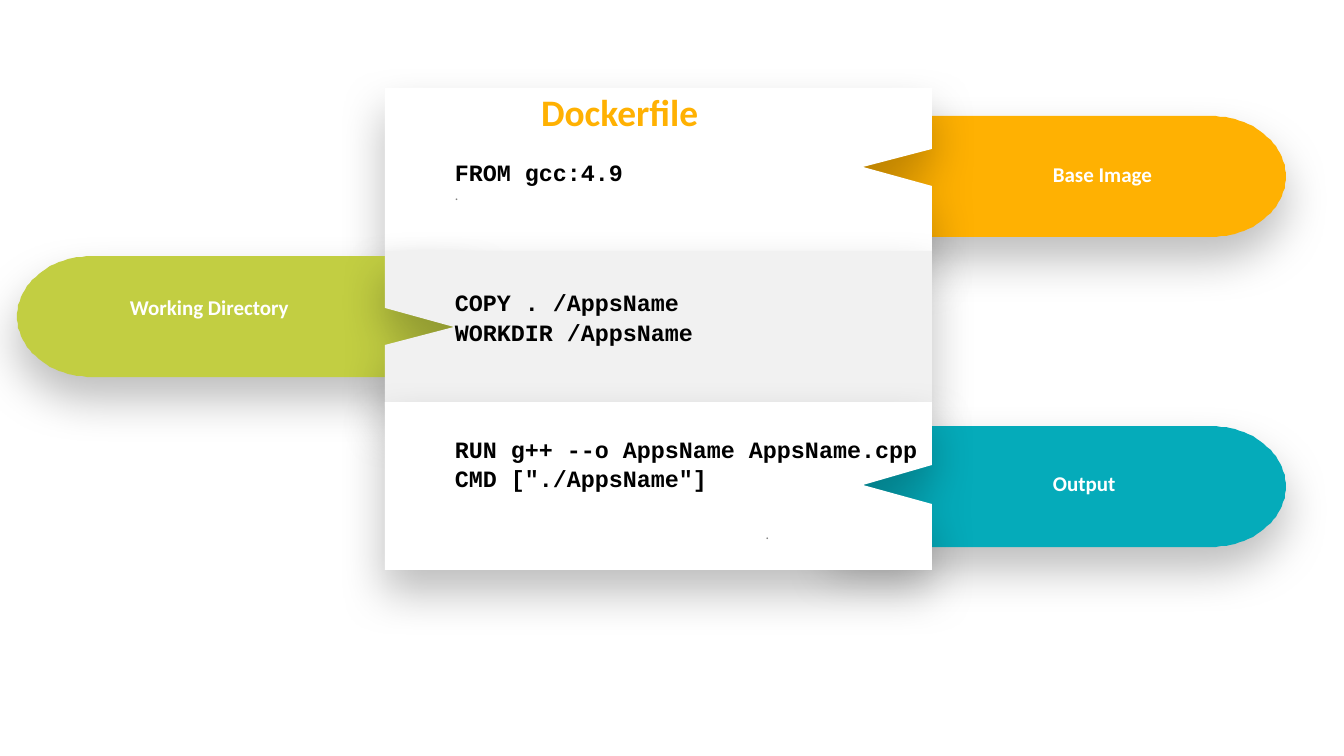
from math import cos, pi, sin

from lxml.etree import SubElement
from pptx import Presentation
from pptx.dml.color import RGBColor
from pptx.enum.text import MSO_ANCHOR, MSO_AUTO_SIZE, PP_ALIGN
from pptx.oxml.ns import qn
from pptx.util import Pt

PX = 914400 / 100.8  # EMU per px

WHITE = RGBColor(0xFF, 0xFF, 0xFF)
BLACK = RGBColor(0x00, 0x00, 0x00)
GREY = RGBColor(0x80, 0x80, 0x80)
PALE_GREY = RGBColor(0xF1, 0xF1, 0xF1)
ORANGE = RGBColor(0xFF, 0xB1, 0x02)
GREEN = RGBColor(0xC2, 0xCE, 0x42)
TEAL = RGBColor(0x05, 0xAB, 0xBA)

PANEL_LEFT, PANEL_RIGHT = 385, 932
NOTCH_DEPTH = 69
TAB_WIDTH, TAB_HEIGHT, TAB_ROUNDING = 456, 121, 75
CODE_LEFT = 445


def add_outline(points, color):
    """Filled outline with a soft shadow below it."""
    builder = slide.shapes.build_freeform(*points[0], scale=PX)
    builder.add_line_segments(points[1:], close=True)
    outline = builder.convert_to_shape()
    outline.fill.solid()
    outline.fill.fore_color.rgb = color
    outline.line.fill.background()
    outline.shadow.inherit = False
    effects = outline.element.spPr.find(qn("a:effectLst"))
    shadow = SubElement(effects, qn("a:outerShdw"), blurRad=str(Pt(33)), dist=str(Pt(16)),
                        dir=str(92 * 60000), algn="ctr", rotWithShape="0")
    shadow_color = SubElement(shadow, qn("a:srgbClr"), val="000000")
    SubElement(shadow_color, qn("a:alpha"), val="26000")
    return outline


def write_text(holder, box, lines, align=PP_ALIGN.LEFT):
    """Place a text holder; each line is (text, font, size, color, bold, spacing)."""
    holder.left, holder.top, holder.width, holder.height = [round(n * PX) for n in box]
    frame = holder.text_frame
    frame.word_wrap = True
    frame.auto_size = MSO_AUTO_SIZE.SHAPE_TO_FIT_TEXT
    frame.vertical_anchor = MSO_ANCHOR.TOP
    frame.text = "\n".join(line[0] for line in lines)
    for paragraph, (_, font_name, size, color, bold, spacing) in zip(frame.paragraphs, lines):
        paragraph.alignment = align
        paragraph.line_spacing = spacing
        font = paragraph.runs[0].font
        font.name, font.size, font.bold = font_name, Pt(size), bold
        font.color.rgb = color


presentation = Presentation()
presentation.slide_width = round(1344 * PX)
presentation.slide_height = round(756 * PX)
slide = presentation.slides.add_slide(presentation.slide_layouts[5])
title = slide.shapes.title
dot = (".", "Calibri", 10, GREY, False, 1.0)

# Sections: side, tab left, tab top, tab color, panel top and bottom, panel color,
# notch heights, label, label box, code lines, code box
sections = [
    ("right", 830, 116, ORANGE, 88, 251, WHITE, (149, 167, 186),
     "Base Image", (1043, 157, 172, 35),
     ["FROM gcc:4.9"], (CODE_LEFT, 152, 244, 55)),
    ("left", 17, 256, GREEN, 251, 406, PALE_GREY, (308, 327, 345),
     "Working Directory", (120, 290, 254, 35),
     ["COPY . /AppsName", "WORKDIR /AppsName"], (CODE_LEFT, 282, 261, 90)),
    ("right", 830, 426, TEAL, 402, 570, WHITE, (465, 485, 504),
     "Output", (1043, 466, 172, 35),
     ["RUN g++ --o AppsName AppsName.cpp", 'CMD ["./AppsName"]'], (CODE_LEFT, 428, 608, 106)),
]

for (side, tab_left, tab_top, tab_color, top, bottom, panel_color, notch,
     label, label_box, code, code_box) in sections:
    # Tab: square at the panel, half an ellipse at the outer end
    on_right = side == "right"
    inner, outer = (tab_left, tab_left + TAB_WIDTH) if on_right else (tab_left + TAB_WIDTH, tab_left)
    outward = 1 if on_right else -1
    radius = TAB_HEIGHT / 2
    arc = [(outer + outward * TAB_ROUNDING * (cos(angle) - 1), tab_top + radius + radius * sin(angle))
           for angle in [pi * step / 48 - pi / 2 for step in range(49)]]
    add_outline([(inner, tab_top), *arc, (inner, tab_top + TAB_HEIGHT)], tab_color)

    # Panel with a notch that lets the tab show through
    near, far = (PANEL_RIGHT, PANEL_LEFT) if on_right else (PANEL_LEFT, PANEL_RIGHT)
    notch_top, notch_tip, notch_bottom = notch
    panel = add_outline([(far, top), (near, top), (near, notch_top),
                         (near - outward * NOTCH_DEPTH, notch_tip),
                         (near, notch_bottom), (near, bottom), (far, bottom)], panel_color)

    # Title sits on the first panel
    if label == "Base Image":
        panel.element.addnext(title.element)
        write_text(title, (531, 84, 218, 55), [("Dockerfile", "Calibri", 26.7, ORANGE, True, 1.0)])

    # Label and code
    write_text(slide.shapes.add_textbox(0, 0, 0, 0), label_box,
               [(label, "Calibri", 15, WHITE, True, 1.0)])
    code_lines = [(line, "Courier New", 16.7, BLACK, True, 1.06) for line in code]
    if label == "Base Image":
        code_lines.append(dot)
    write_text(slide.shapes.add_textbox(0, 0, 0, 0), code_box, code_lines)

# Closing dot
write_text(slide.shapes.add_textbox(0, 0, 0, 0), (584, 521, 195, 27), [dot], PP_ALIGN.RIGHT)

presentation.save("out.pptx")
